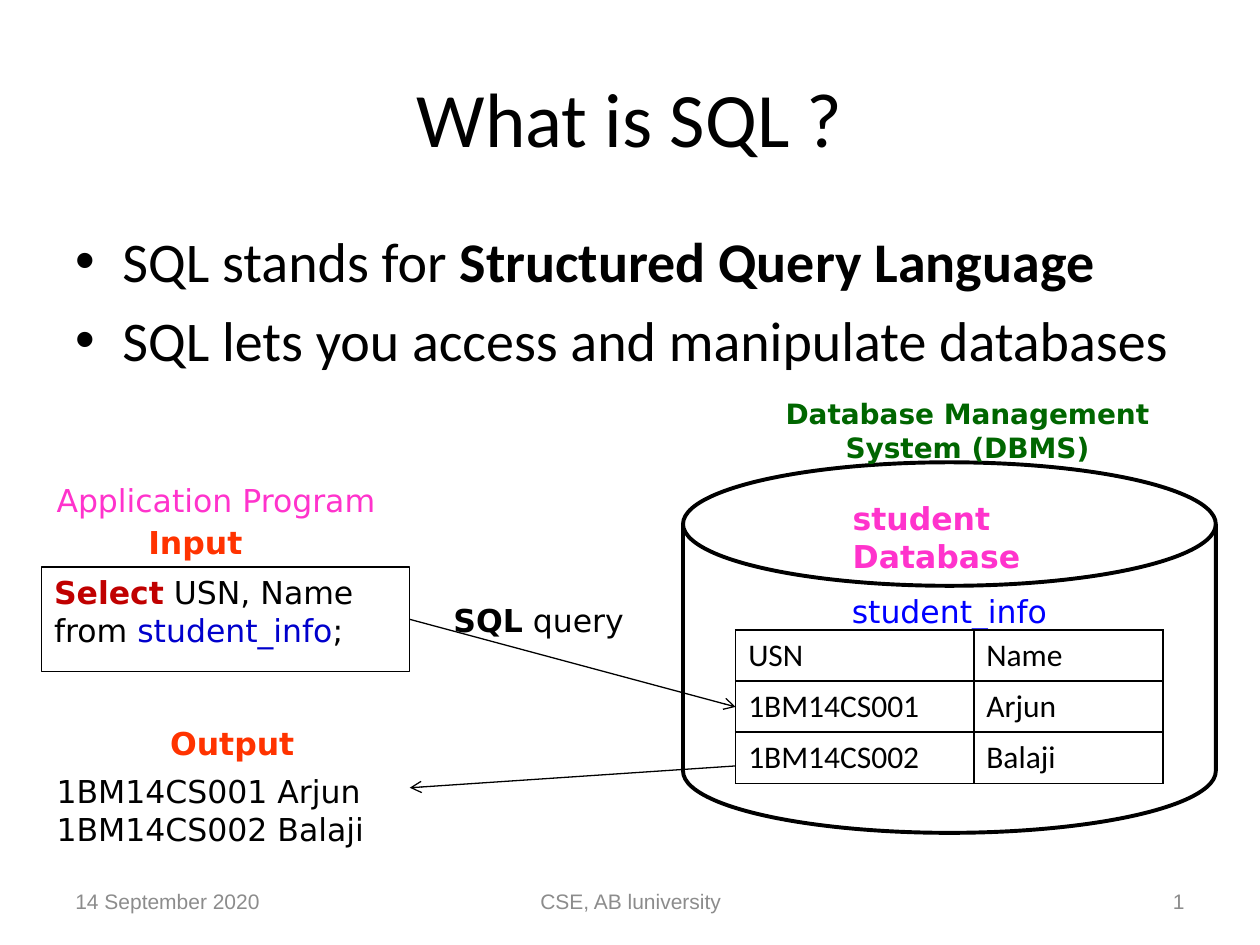
import pptx
import pptx.util
import pptx.dml.color
import pptx.enum.shapes
import pptx.enum.text
import pptx.oxml
import pptx.oxml.ns

Cm = pptx.util.Cm
Pt = pptx.util.Pt
Align = pptx.enum.text.PP_ALIGN
Anchor = pptx.enum.text.MSO_ANCHOR
Shape = pptx.enum.shapes.MSO_SHAPE
SANS = "DejaVu Sans"
BLACK, PINK, RED, GRAY = "000000", "FF33CC", "FF3300", "8C8C8C"


def tint(code):
    return pptx.dml.color.RGBColor.from_string(code)


def node(xml):
    return pptx.oxml.parse_xml(xml.replace(">", f" {pptx.oxml.ns.nsdecls('a')}>", 1))


class Deck:
    """Holds the text style and the current slide, and draws each kind of element."""

    def __init__(self, font, size):
        self.font, self.size = font, size
        self.show = pptx.Presentation()
        self.show.slide_width, self.show.slide_height = Cm(25.4), Cm(19.05)
        self.slide = self.show.slides.add_slide(self.show.slide_layouts[6])

    def style(self, run, color=BLACK, bold=False, size=None, font=None):
        run.font.name = font or self.font
        run.font.size = Pt(size or self.size)
        run.font.bold = bold
        run.font.color.rgb = tint(color)

    def letter(self, frame, text, align=Align.LEFT, anchor=Anchor.TOP, **look):
        frame.text = text
        frame.vertical_anchor = anchor
        for para in frame.paragraphs:
            para.alignment = align
            for run in para.runs:
                self.style(run, **look)

    def extend(self, para, text, **look):
        run = para.add_run()
        run.text = text
        self.style(run, **look)

    def label(self, box, text, wrap=False, **look):
        frame = self.slide.shapes.add_textbox(*map(Cm, box)).text_frame
        frame.word_wrap = wrap
        self.letter(frame, text, **look)
        return frame

    def bullet(self, para):
        para.space_before = Pt(6.4)
        props = para._p.get_or_add_pPr()
        props.set("marL", str(Cm(0.95)))
        props.set("indent", str(-Cm(0.95)))
        props.append(node('<a:buFont typeface="Arial"></a:buFont>'))
        props.append(node('<a:buChar char="•"></a:buChar>'))

    def shape(self, kind, box, width, text, **look):
        item = self.slide.shapes.add_shape(kind, *map(Cm, box))
        item.shadow.inherit = False
        item.fill.background()
        item.line.color.rgb = tint(BLACK)
        item.line.width = Pt(width)
        self.letter(item.text_frame, text, **look)
        return item

    def arrow(self, start, end):
        line = self.slide.shapes.add_connector(
            pptx.enum.shapes.MSO_CONNECTOR.STRAIGHT, *map(Cm, start + end))
        line.line.color.rgb = tint(BLACK)
        line.line.width = Pt(0.75)
        line.get_or_add_ln().append(node('<a:tailEnd type="arrow"></a:tailEnd>'))
        line._element.spPr.append(node("<a:effectLst></a:effectLst>"))
        return line

    def table(self, left, top, cols, high, rows, **look):
        grid = self.slide.shapes.add_table(
            len(rows), len(cols), Cm(left), Cm(top),
            Cm(sum(cols)), Cm(high * len(rows))).table
        grid.first_row = grid.horz_banding = False
        for col, width in zip(grid.columns, cols):
            col.width = Cm(width)
        for r, row in enumerate(rows):
            grid.rows[r].height = Cm(high)
            for c, text in enumerate(row):
                cell = grid.cell(r, c)
                self.letter(cell.text_frame, text, **look)
                self.border(cell)
                cell.fill.background()

    def border(self, cell):
        props = cell._tc.get_or_add_tcPr()
        for side in ("lnL", "lnR", "lnT", "lnB"):
            props.append(node(
                f'<a:{side} w="{Pt(1)}"><a:solidFill><a:srgbClr val="{BLACK}"/>'
                f'</a:solidFill></a:{side}>'))


def main():
    deck = Deck(SANS, 18)
    deck.label((1.27, 0.76, 22.86, 3.18), "What is SQL ?", wrap=True,
               align=Align.CENTER, anchor=Anchor.MIDDLE, size=44, font="Calibri")

    body = deck.label((1.27, 4.45, 22.86, 12.57),
                      "SQL stands for \nSQL lets you access and manipulate databases",
                      wrap=True, size=32, font="Calibri")
    deck.extend(body.paragraphs[0], "Structured Query Language",
                bold=True, size=32, font="Calibri")
    for para in body.paragraphs:
        deck.bullet(para)

    for left, width, text, align in (
            (1.27, 5.92, "14 September 2020", Align.LEFT),
            (8.69, 8.05, "CSE, AB luniversity", Align.CENTER),
            (18.21, 5.92, "1", Align.RIGHT)):
        deck.label((left, 17.65, width, 1.02), text, wrap=True, align=align,
                   anchor=Anchor.MIDDLE, color=GRAY, size=12, font="Arial")

    deck.shape(Shape.FLOWCHART_MAGNETIC_DISK, (13.77, 9.32, 10.74, 7.47), 2.25,
               "student_info", align=Align.CENTER, color="0000FF")
    deck.table(14.83, 12.7, (4.8, 3.81), 1.03,
               (("USN", "Name"), ("1BM14CS001", "Arjun"), ("1BM14CS002", "Balaji")),
               font="Calibri")

    query = deck.shape(Shape.RECTANGLE, (0.84, 11.43, 7.42, 2.11), 0.75, "Select\nfrom ")
    first, second = query.text_frame.paragraphs
    deck.style(first.runs[0], color="C00000", bold=True)
    deck.extend(first, " USN, Name")
    deck.extend(second, "student_info", color="0000CC")
    deck.extend(second, ";")

    deck.arrow((8.26, 12.49), (14.83, 14.25)).begin_connect(query, 3)
    deck.arrow((14.83, 15.44), (8.26, 15.88))

    for box, text, look in (
            ((0.89, 9.58, 6.99, 1.02), "Application Program", {"color": PINK}),
            ((2.74, 10.41, 2.51, 1.02), "Input", {"color": RED, "bold": True}),
            ((3.18, 14.48, 3.02, 1.02), "Output", {"color": RED, "bold": True}),
            ((0.89, 15.44, 6.81, 1.8), "1BM14CS001 Arjun\n1BM14CS002 Balaji", {}),
            ((16.94, 9.93, 3.89, 1.8), "student\nDatabase", {"color": PINK, "bold": True}),
            ((15.49, 7.87, 8.03, 1.63), "Database Management\nSystem (DBMS)",
             {"color": "006600", "bold": True, "size": 16, "align": Align.CENTER})):
        deck.label(box, text, **look)
    call = deck.label((8.89, 11.99, 3.99, 1.02), "SQL", bold=True)
    deck.extend(call.paragraphs[0], " query")

    deck.show.save("out.pptx")


if __name__ == "__main__":
    main()
